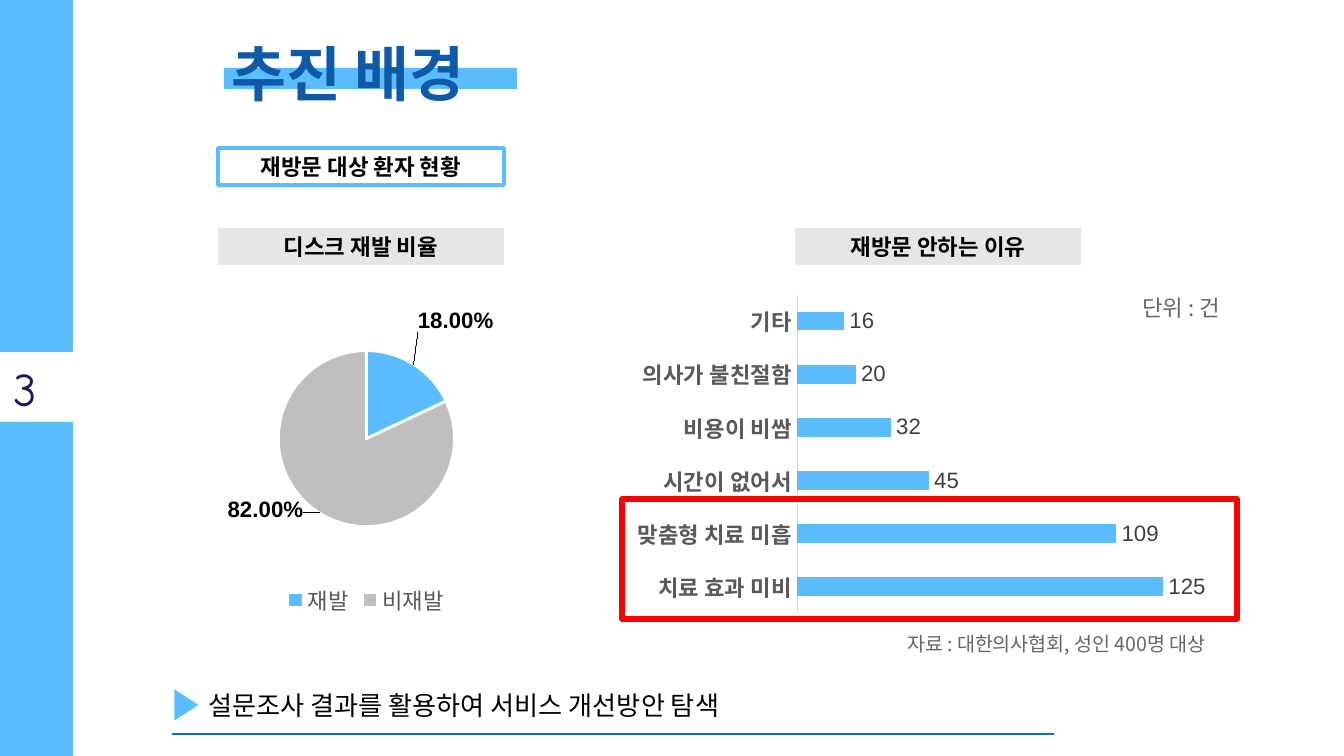
from lxml import etree
from pptx import Presentation
from pptx.chart.data import CategoryChartData
from pptx.dml.color import RGBColor
from pptx.enum.chart import (XL_CHART_TYPE, XL_LABEL_POSITION, XL_LEGEND_POSITION,
                             XL_TICK_LABEL_POSITION, XL_TICK_MARK)
from pptx.enum.shapes import MSO_CONNECTOR, MSO_SHAPE
from pptx.enum.text import MSO_ANCHOR, PP_ALIGN
from pptx.oxml import parse_xml
from pptx.oxml.ns import nsdecls, qn
from pptx.util import Pt

EMU_PER_PX = 914400 / 134.4
RECT, TRIANGLE = MSO_SHAPE.RECTANGLE, MSO_SHAPE.ISOSCELES_TRIANGLE
LEFT, CENTER = PP_ALIGN.LEFT, PP_ALIGN.CENTER
TOP, MIDDLE = MSO_ANCHOR.TOP, MSO_ANCHOR.MIDDLE
OUTSIDE_END = XL_LABEL_POSITION.OUTSIDE_END
KOREAN, LATIN, NUMERAL = "Noto Sans CJK KR", "Arial", "Comic Neue"
COLORS = {
    "sky": "5BBDFF", "title": "0E5AA8", "page": "1B1760", "black": "000000",
    "note": "666666", "heading": "E6E6E6", "pie_rest": "BFBFBF", "axis": "D9D9D9",
    "chart_text": "595959", "value": "404040", "alert": "FF0000", "rule": "0976AD",
    "white": "FFFFFF",
}
REASONS = {"치료 효과 미비": 125, "맞춤형 치료 미흡": 109, "시간이 없어서": 45,
           "비용이 비쌈": 32, "의사가 불친절함": 20, "기타": 16}
RELAPSE = {"재발": 0.18, "비재발": 0.82}


def px(*lengths):
    return [round(length * EMU_PER_PX) for length in lengths]


def rgb(name):
    return RGBColor.from_string(COLORS[name])


def style_font(font, color, **values):
    font.color.rgb = rgb(color)
    for key, value in values.items():
        setattr(font, key, value)


def write(shape, text, size, color, font=KOREAN, bold=False, align=LEFT, anchor=TOP):
    frame = shape.text_frame
    frame.word_wrap, frame.vertical_anchor = True, anchor
    paragraph = frame.paragraphs[0]
    paragraph.alignment = align
    run = paragraph.add_run()
    run.text = text
    style_font(run.font, color, size=Pt(size), name=font, bold=bold)
    east_asian = etree.SubElement(run.font._element, qn("a:ea"))
    east_asian.set("typeface", KOREAN)


def add_text(slide, box, text, size, color, **style):
    write(slide.shapes.add_textbox(*px(*box)), text, size, color, **style)


def add_block(slide, box, fill=None, line=None, width=0, kind=RECT):
    block = slide.shapes.add_shape(kind, *px(*box))
    block.shadow.inherit = False
    if fill:
        block.fill.solid()
        block.fill.fore_color.rgb = rgb(fill)
    else:
        block.fill.background()
    if line:
        block.line.color.rgb = rgb(line)
        block.line.width = Pt(width)
    else:
        block.line.fill.background()
    return block


def add_label(slide, box, text, **look):
    write(add_block(slide, box, **look), text, 12, "black", font=LATIN, bold=True,
          align=CENTER, anchor=MIDDLE)


def add_title(slide, box, text):
    title = slide.shapes.title
    title.left, title.top, title.width, title.height = px(*box)
    write(title, text, 32, "title", bold=True)
    highlight = add_block(slide, (224, 68, 293, 21), fill="sky")
    title._element.addprevious(highlight._element)


def add_rule(slide, start, end):
    rule = slide.shapes.add_connector(MSO_CONNECTOR.STRAIGHT, *px(*start, *end))
    rule.line.color.rgb = rgb("rule")
    rule.line.width = Pt(0.75)
    etree.SubElement(rule._element.spPr, qn("a:effectLst"))


def manual_layout(x, y, w=None, h=None):
    """Layout in chart fractions; without a size, x and y are label offsets."""
    parts = {"x": x, "y": y}
    if w:
        parts = {"layoutTarget": "inner", "xMode": "edge", "yMode": "edge",
                 **parts, "w": w, "h": h}
    body = "".join(f'<c:{tag} val="{value}"/>' for tag, value in parts.items())
    return parse_xml(f'<c:layout {nsdecls("c")}><c:manualLayout>{body}'
                     '</c:manualLayout></c:layout>')


def add_chart(slide, kind, box, values, plot_area):
    data = CategoryChartData()
    data.categories = list(values)
    data.add_series("Series 1", list(values.values()))
    chart = slide.shapes.add_chart(kind, *px(*box), data).chart
    chart.has_title = chart.has_legend = False
    style_font(chart.font, "black", size=Pt(10), name=LATIN)
    area = chart._chartSpace.chart.plotArea
    for old in area.findall(qn("c:layout")):
        area.remove(old)
    area.insert(0, manual_layout(*plot_area))
    return chart


def label_values(plot, color, number_format, bold=False):
    plot.has_data_labels = True
    labels = plot.data_labels
    labels.show_value, labels.position = True, OUTSIDE_END
    labels.number_format, labels.number_format_is_linked = number_format, False
    style_font(labels.font, color, size=Pt(11.9), name=LATIN, bold=bold)


def add_reason_chart(slide):
    chart = add_chart(slide, XL_CHART_TYPE.BAR_CLUSTERED, (625, 288, 594, 332),
                      REASONS, (0.29, 0.02, 0.69, 0.96))
    plot = chart.plots[0]
    plot.gap_width, plot.vary_by_categories = 182, False
    fill = plot.series[0].format.fill
    fill.solid()
    fill.fore_color.rgb = rgb("sky")
    label_values(plot, "value", "General")
    values, reasons = chart.value_axis, chart.category_axis
    values.minimum_scale, values.maximum_scale = 0, 140
    values.has_major_gridlines = values.visible = False
    reasons.major_tick_mark = XL_TICK_MARK.NONE
    reasons.tick_label_position = XL_TICK_LABEL_POSITION.NEXT_TO_AXIS
    reasons.format.line.color.rgb = rgb("axis")
    reasons.format.line.width = Pt(0.75)
    style_font(reasons.tick_labels.font, "chart_text", size=Pt(11.9), name=LATIN,
               bold=True)


def add_relapse_chart(slide):
    chart = add_chart(slide, XL_CHART_TYPE.PIE, (175, 306, 383, 316),
                      RELAPSE, (0.27, 0.14, 0.46, 0.56))
    plot = chart.plots[0]
    plot.vary_by_categories = True
    label_values(plot, "black", "0.00%", bold=True)
    offsets = [(0, -0.08), (-0.03, -0.07)]
    for index, (color, offset) in enumerate(zip(("sky", "pie_rest"), offsets)):
        point = plot.series[0].points[index]
        point.format.fill.solid()
        point.format.fill.fore_color.rgb = rgb(color)
        point.format.line.color.rgb = rgb("white")
        point.format.line.width = Pt(1.5)
        label = point.data_label
        style_font(label.font, "black", size=Pt(11.9), name=LATIN, bold=True)
        label.position = OUTSIDE_END
        label_xml = plot.series[0]._element.find(qn("c:dLbls")).findall(qn("c:dLbl"))[index]
        label_xml.insert(1, manual_layout(*offset))
        number_format = parse_xml(f'<c:numFmt {nsdecls("c")} formatCode="0.00%" '
                                  'sourceLinked="0"/>')
        label_xml.insert(2, number_format)
    chart.has_legend = True
    chart.legend.position = XL_LEGEND_POSITION.BOTTOM
    chart.legend.include_in_layout = False
    style_font(chart.legend.font, "chart_text", size=Pt(11.9), name=LATIN)


def main():
    deck = Presentation()
    deck.slide_width, deck.slide_height = px(1344, 756)
    slide = deck.slides.add_slide(deck.slide_layouts[5])

    for top, height in ((0, 352), (422, 334)):
        add_block(slide, (0, top, 73, height), fill="sky")
    add_text(slide, (0, 353, 73, 69), "3", 25, "page", font=NUMERAL)
    add_title(slide, (218, 30, 313, 85), "추진 배경")

    add_label(slide, (218, 148, 286, 37), "재방문 대상 환자 현황", line="sky", width=2)
    add_label(slide, (218, 228, 286, 37), "디스크 재발 비율", fill="heading")
    add_label(slide, (795, 228, 286, 37), "재방문 안하는 이유", fill="heading")

    add_text(slide, (894, 625, 372, 38), "자료 : 대한의사협회, 성인 400명 대상", 10.5, "note")
    add_text(slide, (1129, 288, 215, 39), "단위 : 건", 12, "note")
    add_reason_chart(slide)
    add_relapse_chart(slide)
    add_block(slide, (622, 499, 615, 120), line="alert", width=3)

    add_rule(slide, (172, 734), (1054, 734))
    add_text(slide, (195, 683, 945, 46), "설문조사 결과를 활용하여 서비스 개선방안 탐색", 14, "black")
    arrow = add_block(slide, (171, 693, 31, 24), fill="sky", kind=TRIANGLE)
    arrow.rotation = 90
    deck.save("out.pptx")


if __name__ == "__main__":
    main()
